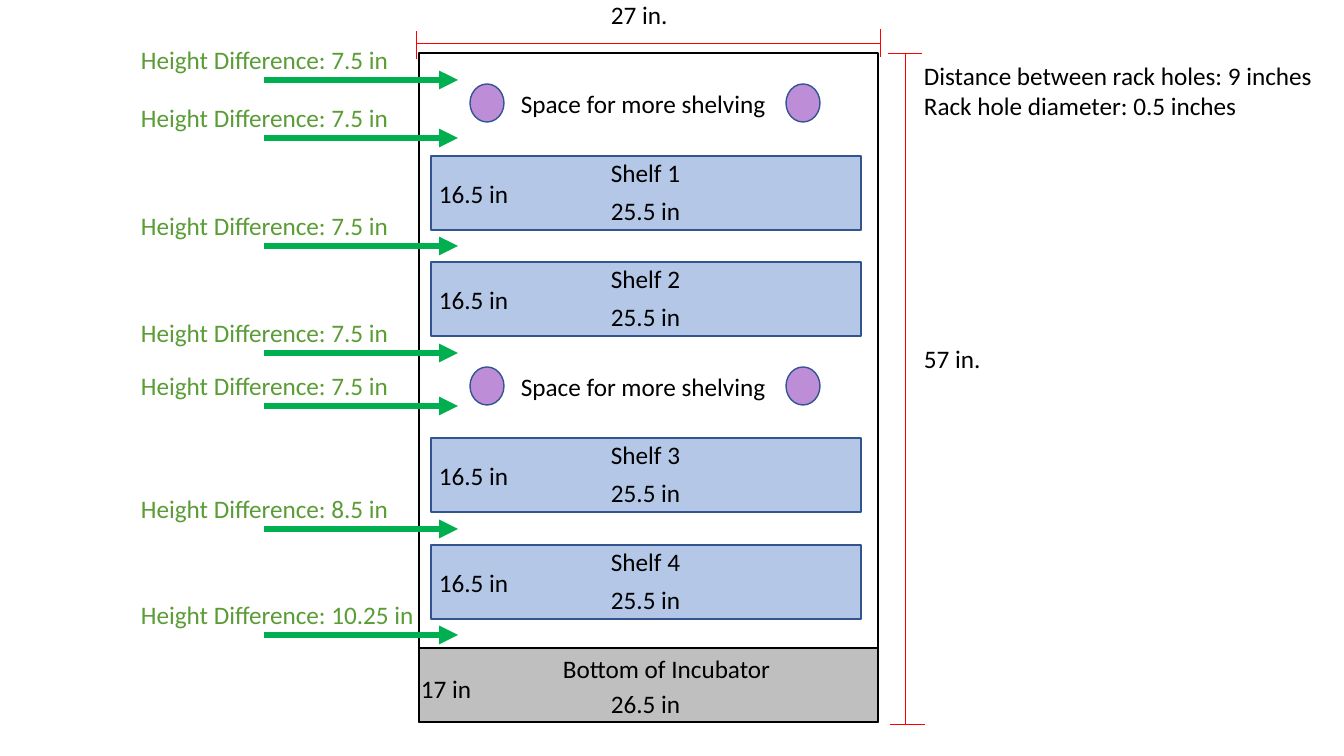
from pptx import Presentation
from pptx.dml.color import RGBColor
from pptx.enum.shapes import MSO_CONNECTOR, MSO_SHAPE
from pptx.oxml.ns import qn
from pptx.util import Emu, Pt
from lxml.etree import SubElement

SCALE = 914400 / 100.8
FONT = "Calibri"
COLORS = {
    "black": "000000",
    "white": "FFFFFF",
    "bottom": "BFBFBF",
    "shelf": "B4C7E7",
    "outline": "325491",
    "hole": "BD8DD7",
    "dimension": "FF0000",
    "arrow": "00B050",
    "difference": "5A9C36",
}

LINE_HEIGHT = 40
SHELF_TOPS = [156, 262, 438, 545]
SPACE_TOPS = [84, 367]
HEIGHT_DIFFERENCES = [
    (80, "7.5"), (138, "7.5"), (246, "7.5"), (353, "7.5"),
    (406, "7.5"), (529, "8.5"), (635, "10.25"),
]


def px(value):
    """Turn whole pixels into EMU."""
    return Emu(round(value * SCALE))


def color(name):
    """Look up a named colour."""
    return RGBColor.from_string(COLORS[name])


def add_figure(page, kind, left, top, width, height, fill, line):
    """Add a filled, outlined preset shape."""
    shape = page.shapes.add_shape(kind, px(left), px(top), px(width), px(height))
    shape.shadow.inherit = False
    shape.fill.solid()
    shape.fill.fore_color.rgb = color(fill)
    shape.line.color.rgb = color(line)
    shape.line.width = Pt(1)


def add_label(page, text, left, top, width, height=LINE_HEIGHT, ink="black"):
    """Add an 18 point text box; each line of text is a paragraph."""
    box = page.shapes.add_textbox(px(left), px(top), px(width), px(height))
    box.text_frame.word_wrap = True
    box.text_frame.text = text
    for para in box.text_frame.paragraphs:
        for span in para.runs:
            span.font.name = FONT
            span.font.size = Pt(18)
            span.font.color.rgb = color(ink)


def add_line(page, start, end, ink, width, arrow=False):
    """Add a straight line, with an arrowhead at its end if wanted."""
    line = page.shapes.add_connector(
        MSO_CONNECTOR.STRAIGHT, px(start[0]), px(start[1]), px(end[0]), px(end[1]))
    line.line.color.rgb = color(ink)
    line.line.width = Pt(width)
    if arrow:
        SubElement(line.line._get_or_add_ln(), qn("a:tailEnd"), type="triangle")
    SubElement(line._element.spPr, qn("a:effectLst"))


def add_dimensions(page):
    """Add the incubator's width and height lines with their labels."""
    for start, end in [
        ((888, 53), (922, 53)), ((905, 53), (905, 724)), ((925, 724), (890, 724)),
        ((880, 29), (880, 57)), ((880, 43), (416, 43)), ((416, 59), (416, 31)),
    ]:
        add_line(page, start, end, "dimension", 0.5)
    add_label(page, "27 in.", 601, -6, 84)
    add_label(page, "57 in.", 914, 338, 101)


def add_bottom(page):
    """Add the grey bottom of the incubator."""
    add_figure(page, MSO_SHAPE.RECTANGLE, 419, 648, 459, 74, "bottom", "black")
    add_label(page, "Bottom of Incubator", 553, 648, 236)
    add_label(page, "26.5 in", 601, 683, 97)
    add_label(page, "17 in", 411, 668, 77)


def add_shelf(page, number, top):
    """Add one shelf with its name, width and depth."""
    add_figure(page, MSO_SHAPE.RECTANGLE, 431, top, 430, 74, "shelf", "outline")
    add_label(page, f"Shelf {number}", 601, top - 4, 91)
    add_label(page, "25.5 in", 601, top + 34, 91)
    add_label(page, "16.5 in", 429, top + 17, 97)


def add_free_space(page, top):
    """Add a pair of rack holes around the note on free space."""
    for left in (470, 786):
        add_figure(page, MSO_SHAPE.OVAL, left, top, 34, 38, "hole", "outline")
    add_label(page, "Space for more shelving", 511, top - 1, 268)


def add_height_difference(page, y, inches):
    """Add a green arrow at height y with its label above."""
    add_line(page, (264, y), (458, y), "arrow", 4.5, arrow=True)
    add_label(page, f"Height Difference: {inches} in", 131, y - 41, 297, ink="difference")


def main():
    """Build the incubator shelving slide."""
    deck = Presentation()
    deck.slide_width, deck.slide_height = px(1344), px(756)
    page = deck.slides.add_slide(deck.slide_layouts.get_by_name("Blank"))

    add_figure(page, MSO_SHAPE.RECTANGLE, 419, 53, 459, 669, "white", "black")
    add_dimensions(page)
    add_bottom(page)
    for number, top in enumerate(SHELF_TOPS, start=1):
        add_shelf(page, number, top)
    for top in SPACE_TOPS:
        add_free_space(page, top)
    for y, inches in HEIGHT_DIFFERENCES:
        add_height_difference(page, y, inches)
    add_label(page, "Distance between rack holes: 9 inches\nRack hole diameter: 0.5 inches",
              914, 55, 414, 71)

    deck.save("out.pptx")


main()
